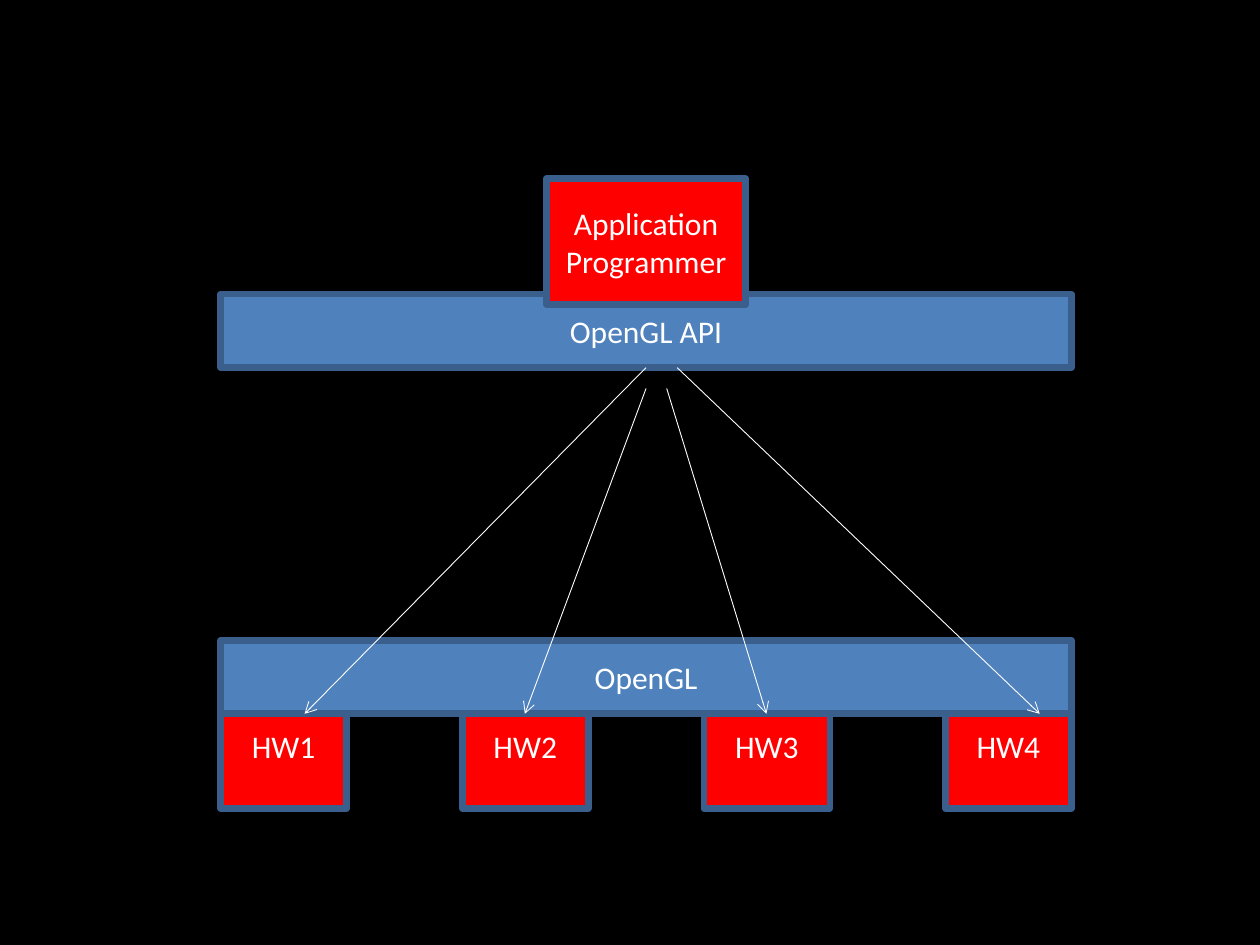
from dataclasses import dataclass

from lxml import etree
from pptx import Presentation
from pptx import util as u
from pptx.dml.color import RGBColor
from pptx.enum import shapes, text
from pptx.oxml.ns import qn


@dataclass(frozen=True)
class Theme:
    background: RGBColor = RGBColor(0x00, 0x00, 0x00)
    hardware: RGBColor = RGBColor(0xFF, 0x00, 0x00)
    layer: RGBColor = RGBColor(0x4F, 0x81, 0xBD)
    border: RGBColor = RGBColor(0x3A, 0x5F, 0x8C)
    light: RGBColor = RGBColor(0xFF, 0xFF, 0xFF)
    font: str = "Calibri"
    size: float = 18
    border_width: float = 3.78
    arrow_width: float = 0.5


THEME = Theme()
LEFT, WIDTH, LAYER_HEIGHT = 4.45, 17.15, 1.48
BOX = 2.54
APP_WIDTH = 4.02
CENTER = LEFT + WIDTH / 2
ARROW_END = 14.39


def write(tf, content, *, size=THEME.size, color=THEME.light, align=text.PP_ALIGN.CENTER):
    tf.word_wrap = True
    tf.vertical_anchor = text.MSO_ANCHOR.MIDDLE
    p = tf.paragraphs[0]
    p.alignment = align
    r = p.add_run()
    r.text = content
    r.font.name = THEME.font
    r.font.size = u.Pt(size)
    r.font.color.rgb = color


def add_box(s, label, left, top, width, height, fill):
    sp = s.shapes.add_shape(
        shapes.MSO_SHAPE.RECTANGLE, u.Cm(left), u.Cm(top), u.Cm(width), u.Cm(height)
    )
    sp.shadow.inherit = False
    sp.fill.solid()
    sp.fill.fore_color.rgb = fill
    sp.line.color.rgb = THEME.border
    sp.line.width = u.Pt(THEME.border_width)
    write(sp.text_frame, label)
    return sp


def add_arrow(s, x1, y1, x2, y2):
    line = s.shapes.add_connector(
        shapes.MSO_CONNECTOR.STRAIGHT, u.Cm(x1), u.Cm(y1), u.Cm(x2), u.Cm(y2)
    )
    line.line.color.rgb = THEME.light
    line.line.width = u.Pt(THEME.arrow_width)
    sp_pr = line.line._get_or_add_ln().getparent()
    etree.SubElement(sp_pr.find(qn("a:ln")), qn("a:tailEnd"), type="arrow")
    etree.SubElement(sp_pr, qn("a:effectLst"))
    return line


def main():
    prs = Presentation()
    prs.slide_width, prs.slide_height = u.Cm(25.4), u.Cm(19.05)
    s = prs.slides.add_slide(prs.slide_layouts[6])
    s.background.fill.solid()
    s.background.fill.fore_color.rgb = THEME.background

    count = 4
    pitch = (WIDTH - BOX) / (count - 1)
    for i in range(count):
        add_box(s, f"HW{i + 1}", LEFT + i * pitch, 13.76, BOX, BOX, THEME.hardware)
    add_box(s, "OpenGL", LEFT, 12.91, WIDTH, LAYER_HEIGHT, THEME.layer)
    api = add_box(s, "OpenGL API", LEFT, 5.93, WIDTH, LAYER_HEIGHT, THEME.layer)
    add_box(s, "Application Programmer", CENTER - APP_WIDTH / 2, 3.6,
            APP_WIDTH, BOX, THEME.hardware)

    upper, lower = 7.41, 7.83
    to_hw1 = add_arrow(s, CENTER, upper, 6.14, ARROW_END)
    to_hw1.begin_connect(api, 2)
    for x1, y1, x2 in [(13.65, upper, 20.96), (13.44, lower, 15.45), (CENTER, lower, 10.58)]:
        add_arrow(s, x1, y1, x2, ARROW_END)

    prs.save("out.pptx")


if __name__ == "__main__":
    main()
